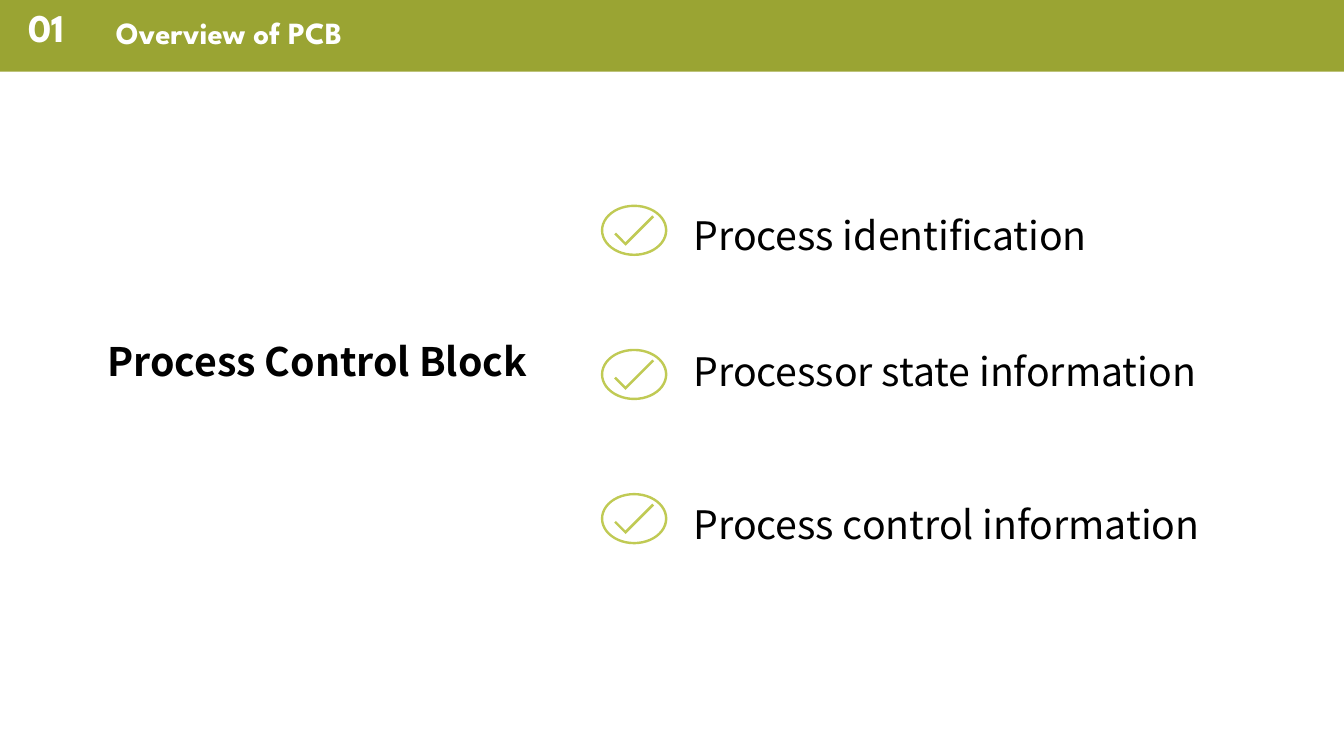
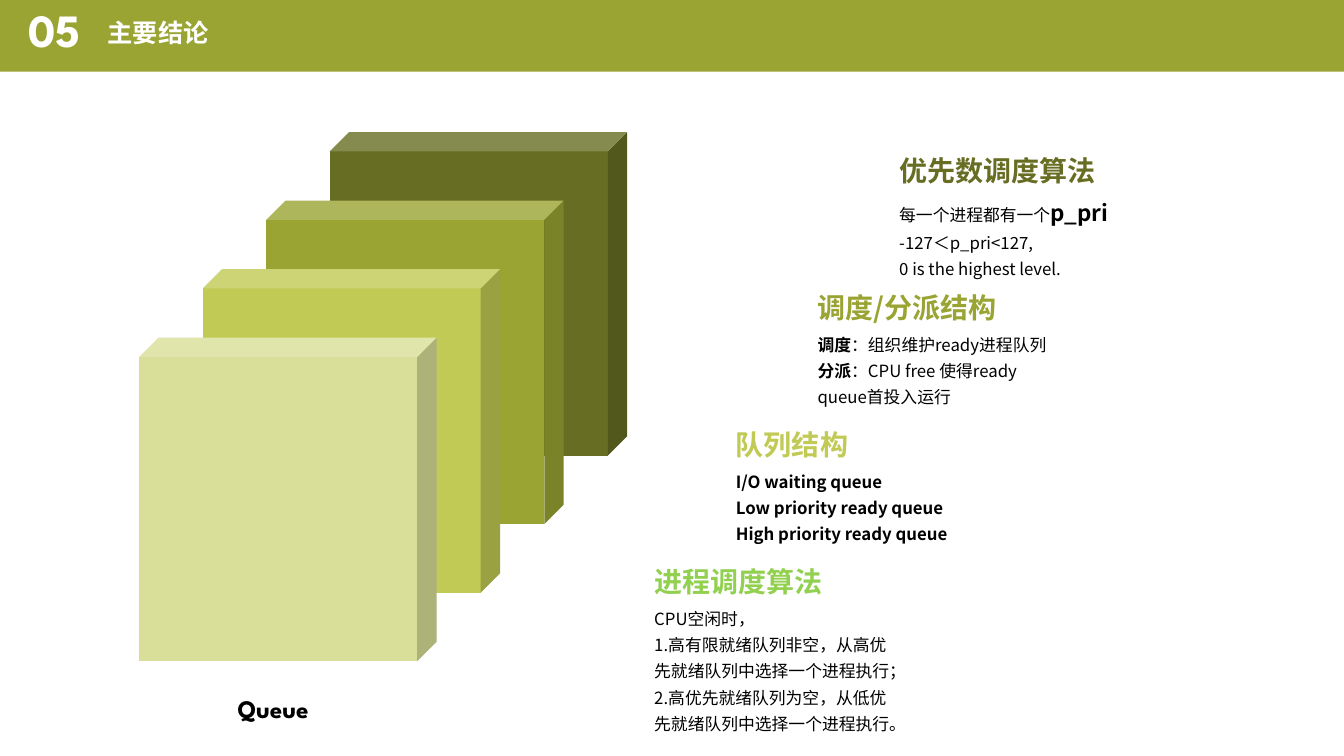
from dataclasses import dataclass

from lxml import etree
from pptx import Presentation
from pptx import util as u
from pptx.dml import color
from pptx.enum import shapes, text
from pptx.oxml import ns

COLORS = {
    "band": "9AA433", "dark": "676D22", "light": "C0CA54",
    "pale": "D9DF98", "green": "92D050", "white": "FFFFFF", "black": "000000",
}
DISPLAY = "League Spartan"
BODY = "Noto Sans CJK SC"
AUTO = text.MSO_AUTO_SIZE
ANCHOR = text.MSO_ANCHOR
SHAPE = shapes.MSO_SHAPE


@dataclass(frozen=True)
class Span:
    """A run of text with its own look."""
    words: str
    size: float = 12
    bold: bool = False
    color: str = "black"
    font: str = BODY


@dataclass(frozen=True)
class Area:
    """A place on the page, in inches."""
    left: float
    top: float
    width: float
    height: float

    def lengths(self) -> tuple:
        """Return the four lengths that python-pptx expects."""
        return tuple(u.Inches(v) for v in (self.left, self.top, self.width, self.height))


@dataclass(frozen=True)
class Header:
    """Number and title shown in the band."""
    number: Span
    number_area: Area
    title: Span
    title_left: float


@dataclass(frozen=True)
class Step:
    """One level of the staircase: a cube, a heading and its lines."""
    heading: str
    heading_color: str
    cube_color: str
    lines: list[list[Span]]
    height: float = 0.89


def add_solid(parent, kind, area: Area, fill: str, adjustments=()):
    """Add a filled preset shape without line or shadow."""
    shape = parent.add_shape(kind, *area.lengths())
    shape.shadow.inherit = False
    shape.fill.solid()
    shape.fill.fore_color.rgb = color.RGBColor.from_string(COLORS[fill])
    shape.line.fill.background()
    for index, value in enumerate(adjustments):
        shape.adjustments[index] = value
    return shape


def add_span(para, item: Span) -> None:
    """Add one run with its Latin and East Asian fonts."""
    span = para.add_run()
    span.text = item.words
    span.font.size = u.Pt(item.size)
    span.font.bold = item.bold
    span.font.color.rgb = color.RGBColor.from_string(COLORS[item.color])
    span.font.name = item.font
    etree.SubElement(span.font._element, ns.qn("a:ea"), typeface=BODY)


def add_text(page, area: Area, lines: list[list[Span]], spacing: float = 1.3,
             before: float = 0, anchor=ANCHOR.TOP, fit=AUTO.SHAPE_TO_FIT_TEXT,
             wrap: bool = True) -> None:
    """Add a text box with one paragraph for each list of spans."""
    box = page.shapes.add_textbox(*area.lengths())
    frame = box.text_frame
    frame.word_wrap = wrap
    frame.auto_size = fit
    frame.vertical_anchor = anchor
    for index, line in enumerate(lines):
        para = frame.add_paragraph() if index else frame.paragraphs[0]
        para.line_spacing = spacing
        para.space_before = u.Pt(before)
        for item in line:
            add_span(para, item)


def add_page(deck, header: Header):
    """Add a blank page with the band, the number and the title."""
    page = deck.slides.add_slide(deck.slide_layouts[6])
    add_solid(page.shapes, SHAPE.RECTANGLE, Area(0, 0, 13.33, 0.71), "band")
    title_area = Area(header.title_left, 0.16, 4.18, 0.4)
    for area, item, anchor in ((title_area, header.title, ANCHOR.TOP),
                               (header.number_area, header.number, ANCHOR.MIDDLE)):
        add_text(page, area, [[item]], spacing=0.9, before=10, anchor=anchor,
                 fit=AUTO.TEXT_TO_FIT_SHAPE)
    return page


def add_check(page, top: float) -> None:
    """Add a ring with a check mark as one group."""
    group = page.shapes.add_group_shape().shapes
    add_solid(group, SHAPE.DONUT, Area(5.96, top, 0.66, 0.51), "light", [0.047])
    tick = add_solid(group, SHAPE.RECTANGLE, Area(6.09, top + 0.13, 0.4, 0.16), "light")
    tick.rotation = 315
    geometry = tick._element.spPr.find(ns.qn("a:prstGeom"))
    geometry.set("prst", "corner")
    guides = geometry.find(ns.qn("a:avLst"))
    for name, value in (("adj1", 16200), ("adj2", 14900)):
        etree.SubElement(guides, ns.qn("a:gd"), name=name, fmla=f"val {value}")


def build_overview(deck) -> None:
    """Build the page with the three parts of the control block."""
    page = add_page(deck, Header(
        Span("01", 40, True, "white", DISPLAY), Area(0.18, 0.09, 1.19, 0.46),
        Span("Overview of PCB", 24, True, "white", DISPLAY), 1.05))
    add_text(page, Area(0.97, 3.16, 4.68, 0.71), [[Span("Process Control Block", 28, True)]])
    parts = [("Process identification", 1.91), ("Processor state information", 3.26),
             ("Process control information", 4.77)]
    for index, (words, top) in enumerate(parts):
        add_check(page, 2.03 + 1.43 * index)
        add_text(page, Area(6.78, top, 6.09, 0.71), [[Span(words, 28)]])


def build_conclusions(deck) -> None:
    """Build the page with the stacked cubes and their explanations."""
    page = add_page(deck, Header(
        Span("05", 36, True, "white", DISPLAY), Area(0.18, 0.09, 0.79, 0.53),
        Span("主要结论", 18, True, "white", DISPLAY), 0.97))
    steps = [
        Step("优先数调度算法", "dark", "dark", [
            [Span("每一个进程都有一个"), Span("p_pri", 16, True)],
            [Span("-127＜p_pri<127,")],
            [Span("0 is the highest level.")]], 0.98),
        Step("调度/分派结构", "band", "band", [
            [Span("调度", bold=True), Span("：组织维护ready进程队列")],
            [Span("分派", bold=True), Span("：CPU free 使得ready queue首投入运行")]]),
        Step("队列结构", "light", "light", [
            [Span(f"{name} queue", bold=True)]
            for name in ("I/O waiting", "Low priority ready", "High priority ready")]),
        Step("进程调度算法", "green", "pale", [
            [Span("CPU空闲时，")],
            [Span("1.高有限就绪队列非空，从高优先就绪队列中选择一个进程执行；")],
            [Span("2.高优先就绪队列为空，从低优先就绪队列中选择一个进程执行。")]], 1.4),
    ]
    for index, step in enumerate(steps):
        add_solid(page.shapes, SHAPE.CUBE,
                  Area(3.27 - 0.63 * index, 1.31 + 0.68 * index, 2.95, 3.21),
                  step.cube_color, [0.065])
        left, top = 8.82 - 0.81 * index, 1.37 + 1.36 * index
        add_text(page, Area(left, top + 0.48, 2.58, step.height), step.lines)
        add_text(page, Area(left, top, 3.19, 0.5),
                 [[Span(step.heading, 20, True, step.heading_color)]])
    add_text(page, Area(2.26, 6.83, 1.06, 0.4),
             [[Span("Queue", 18, True, font=DISPLAY)]], spacing=1, wrap=False)


def main() -> None:
    """Build the deck and save it."""
    deck = Presentation()
    deck.slide_width, deck.slide_height = u.Inches(13.33), u.Inches(7.5)
    build_overview(deck)
    build_conclusions(deck)
    deck.save("out.pptx")


main()
